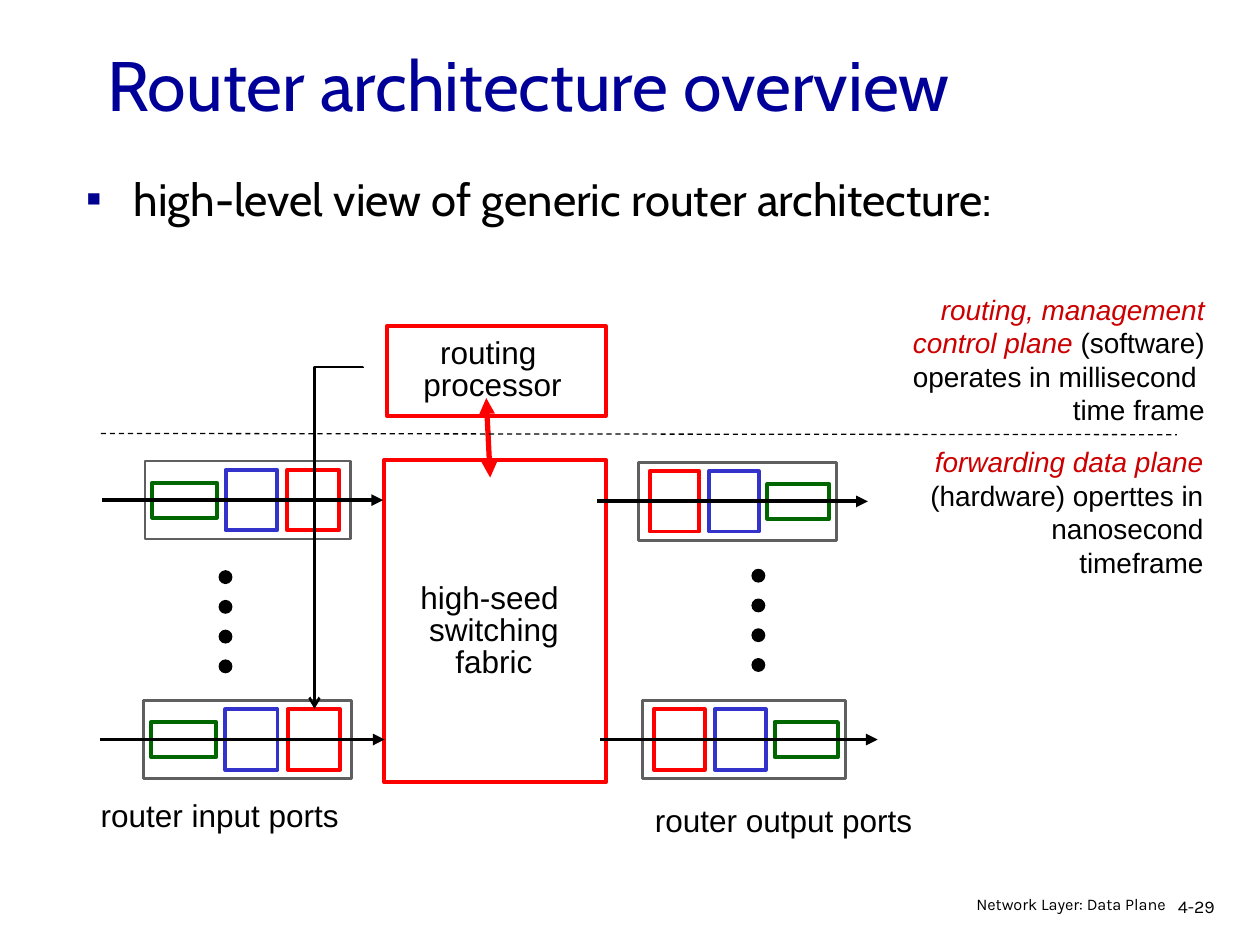
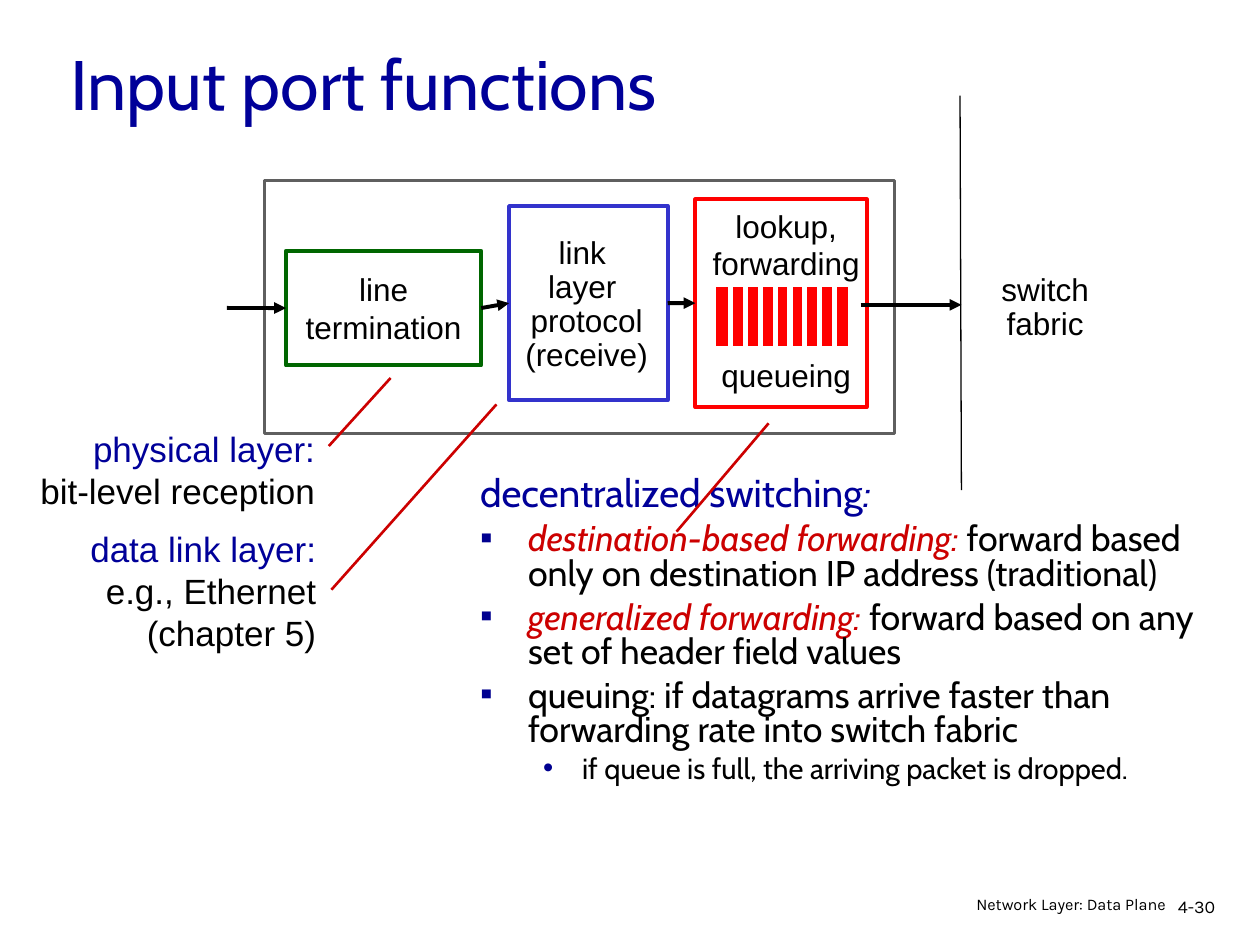
"""Build two slides on router architecture and input port functions."""
from dataclasses import dataclass
from typing import Any, NamedTuple, Optional

from lxml import etree
from pptx import Presentation
from pptx.dml.color import RGBColor
from pptx.enum.dml import MSO_LINE
from pptx.enum.shapes import MSO_CONNECTOR, MSO_SHAPE
from pptx.enum.text import MSO_ANCHOR, MSO_AUTO_SIZE, PP_ALIGN
from pptx.oxml.ns import qn
from pptx.util import Pt

RECT, OVAL = MSO_SHAPE.RECTANGLE, MSO_SHAPE.OVAL
STRAIGHT, ELBOW = MSO_CONNECTOR.STRAIGHT, MSO_CONNECTOR.ELBOW
LEFT, CENTER, RIGHT = PP_ALIGN.LEFT, PP_ALIGN.CENTER, PP_ALIGN.RIGHT
TOP, MIDDLE = MSO_ANCHOR.TOP, MSO_ANCHOR.MIDDLE
LEFT_SIDE, RIGHT_SIDE = 1, 3


@dataclass(frozen=True)
class Theme:
    """Colours, fonts and type sizes."""
    black: str = "000000"
    white: str = "FFFFFF"
    navy: str = "000099"
    bullet: str = "000090"
    crimson: str = "CC0000"
    red: str = "FF0000"
    green: str = "006600"
    blue: str = "3333CC"
    grey: str = "5F5F5F"
    heading_font: str = "Cabin"
    label_font: str = "Arial"
    footer_font: str = "Karla"
    title: float = 40
    lead: float = 25.9
    section: float = 22.2
    item: float = 20.4
    subitem: float = 16.6
    callout: float = 20
    label: float = 18
    plane: float = 16
    number: float = 10.2
    footer: float = 9.3


THEME = Theme()


class Box(NamedTuple):
    """Left, top, width and height in points."""
    left: float
    top: float
    width: float
    height: float


class Words(NamedTuple):
    """A run of text."""
    text: str
    ink: str = THEME.black
    italic: bool = False


class Para(NamedTuple):
    """A paragraph with its optional spacing, size and bullet."""
    runs: list[Words]
    before: float = 0
    size: Optional[float] = None
    bullet: Optional[str] = None
    level: int = 0


class Style(NamedTuple):
    """Formatting shared by the paragraphs of a box."""
    size: float
    font: str = THEME.label_font
    align: Any = LEFT
    spacing: float = 1.0
    anchor: Any = TOP
    wrap: bool = False


class Stage(NamedTuple):
    """A stage inside a router port, measured from the port's outer side."""
    offset: float
    width: float
    height: float
    ink: str


class Port(NamedTuple):
    """A router port; output ports mirror the input stages."""
    left: float
    top: float
    width: float
    output: bool = False


PORT_WIDTH, PORT_HEIGHT = 117.4, 44.6
ARROW_LEAD, ARROW_REACH = 24.5, 18.7
STAGES = [Stage(4.3, 36.7, 20, THEME.green),
          Stage(46.1, 29.5, 34.5, THEME.blue),
          Stage(81.4, 29.5, 34.5, THEME.red)]
PORTS = [Port(82.8, 263.5, 117.4), Port(82.1, 400.3, 118.8),
         Port(365, 264.2, 113, True), Port(367.2, 400.3, 115.9, True)]
DOT_COUNT, DOT_SIZE, DOT_STEP = 4, 7.2, 17
QUEUE_GAPS, QUEUE_STEP = 8, 8.45


def set_format(target: Any, values: dict[str, Any]) -> None:
    for key, value in values.items():
        setattr(target, key, value)


def color(code: str) -> RGBColor:
    return RGBColor.from_string(code)


def place(shape: Any, box: Box) -> None:
    set_format(shape, {side: Pt(value) for side, value in box._asdict().items()})


def lines(*texts: str) -> list[Para]:
    return [Para([Words(text)]) for text in texts]


def mark(paragraph: Any, para: Para) -> None:
    props = paragraph._p.get_or_add_pPr()
    margin, hang = (58.3, 22.3) if para.level else (27.4, 27.4)
    props.set("marL", str(Pt(margin)))
    props.set("indent", str(-Pt(hang)))
    if para.bullet:
        tint = etree.SubElement(props, qn("a:buClr"))
        etree.SubElement(tint, qn("a:srgbClr")).set("val", THEME.bullet)
        etree.SubElement(props, qn("a:buChar")).set("char", para.bullet)
    else:
        etree.SubElement(props, qn("a:buNone"))


def write(frame: Any, paras: list[Para], style: Style, listed: bool = False) -> None:
    set_format(frame, {"auto_size": MSO_AUTO_SIZE.NONE, "word_wrap": style.wrap,
                       "vertical_anchor": style.anchor})
    for index, para in enumerate(paras):
        paragraph = frame.add_paragraph() if index else frame.paragraphs[0]
        if listed:
            mark(paragraph, para)
        set_format(paragraph, {"level": para.level, "alignment": style.align,
                               "line_spacing": style.spacing,
                               "space_before": Pt(para.before), "space_after": Pt(0)})
        for words in para.runs:
            run = paragraph.add_run()
            run.text = words.text
            set_format(run.font, {"name": style.font, "size": Pt(para.size or style.size),
                                  "italic": words.italic})
            run.font.color.rgb = color(words.ink)


def label(shapes: Any, box: Box, paras: list[Para], style: Style) -> None:
    write(shapes.add_textbox(*map(Pt, box)).text_frame, paras, style)


def block(shapes: Any, box: Box, ink: str, weight: float = 2.25,
          fill: str = THEME.white, kind: Any = RECT) -> Any:
    shape = shapes.add_shape(kind, *map(Pt, box))
    shape.shadow.inherit = False
    shape.fill.solid()
    shape.fill.fore_color.rgb = color(fill)
    shape.line.color.rgb = color(ink)
    shape.line.width = Pt(weight)
    return shape


def link(shapes: Any, start: tuple[float, float], end: tuple[float, float],
         ink: str = THEME.black, weight: float = 2.25, head: str = "", tail: str = "",
         dash: Any = None, kind: Any = STRAIGHT) -> Any:
    connector = shapes.add_connector(kind, *map(Pt, start + end))
    connector.line.color.rgb = color(ink)
    set_format(connector.line, {"width": Pt(weight), "dash_style": dash})
    props = connector._element.spPr
    for tag, tip in (("a:headEnd", head), ("a:tailEnd", tail)):
        if tip:
            etree.SubElement(props.find(qn("a:ln")), qn(tag)).set("type", tip)
    etree.SubElement(props, qn("a:effectLst"))
    return connector


def start_slide(deck: Any, title: str, title_box: Box, body_box: Box,
                body: list[Para], body_style: Style, number: str) -> Any:
    slide = deck.slides.add_slide(deck.slide_layouts[1])
    heading, content = slide.placeholders
    place(heading, title_box)
    write(heading.text_frame, [Para([Words(title, THEME.navy)])],
          Style(THEME.title, THEME.heading_font, anchor=MIDDLE, wrap=True))
    place(content, body_box)
    write(content.text_frame, body, body_style, listed=True)
    label(slide.shapes, Box(666, 509.8, 43.9, 21.6), lines(number),
          Style(THEME.number, THEME.footer_font, spacing=0.9, wrap=True))
    label(slide.shapes, Box(501.8, 509.8, 171.4, 18.7), lines("Network Layer: Data Plane"),
          Style(THEME.footer, THEME.footer_font, RIGHT, 0.8, wrap=True))
    return slide.shapes


def draw_port(shapes: Any, port: Port) -> None:
    group = shapes.add_group_shape().shapes
    scale = port.width / PORT_WIDTH
    middle = port.top + PORT_HEIGHT / 2
    block(group, Box(port.left, port.top, port.width, PORT_HEIGHT), THEME.grey, 1.5)
    for stage in STAGES:
        offset, width = stage.offset * scale, stage.width * scale
        if port.output:
            offset = port.width - offset - width
        block(group, Box(port.left + offset, middle - stage.height / 2, width, stage.height),
              stage.ink)
    link(group, (port.left - ARROW_LEAD * scale, middle),
         (port.left + port.width + ARROW_REACH * scale, middle), tail="triangle")


def draw_dots(shapes: Any, left: float, top: float) -> None:
    group = shapes.add_group_shape().shapes
    for row in range(DOT_COUNT):
        block(group, Box(left, top + row * DOT_STEP, DOT_SIZE, DOT_SIZE),
              THEME.black, 0.75, THEME.black, OVAL)


def build_overview(deck: Any) -> None:
    lead = [Para([Words("high-level view of generic router architecture:")], bullet="▪")]
    shapes = start_slide(deck, "Router architecture overview", Box(54, 23.8, 612, 48.2),
                         Box(41.8, 101.5, 612, 46), lead,
                         Style(THEME.lead, THEME.heading_font, spacing=0.75, wrap=True), "4-29")
    centred = Style(THEME.label, align=CENTER, spacing=0.85)
    block(shapes, Box(219.6, 262.8, 126.7, 184.3), THEME.red)
    label(shapes, Box(233.3, 329.8, 97.9, 62.6),
          lines("high-seed ", "switching", "fabric"), centred)
    block(shapes, Box(221, 186.5, 125.3, 51.1), THEME.red)
    label(shapes, Box(234.7, 190.1, 93.6, 43.9), lines("routing ", "processor"), centred)
    link(shapes, (277.9, 227.5), (280.1, 272.9), THEME.red, 3, "triangle", "triangle")
    for port in PORTS:
        draw_port(shapes, port)
    for left, top in ((125.3, 326.2), (429.8, 325.4)):
        draw_dots(shapes, left, top)
    for box, text in ((Box(50.4, 451.4, 150.5, 28.8), "router input ports"),
                      (Box(367.2, 454.3, 161.3, 28.8), "router output ports")):
        label(shapes, box, lines(text), Style(THEME.label))
    link(shapes, (57.6, 247.7), (672.5, 248.4), weight=0.75, dash=MSO_LINE.DASH)
    plane = Style(THEME.plane, align=RIGHT, wrap=True)
    label(shapes, Box(522.7, 250.6, 172.1, 84.2),
          [Para([Words("forwarding data plane ", THEME.crimson, True),
                 Words("(hardware) operttes in nanosecond timeframe")])], plane)
    label(shapes, Box(468.7, 163.4, 226.8, 84.2),
          [Para([Words("routing, management", THEME.crimson, True)]),
           Para([Words("control plane ", THEME.crimson, True), Words("(software)")]),
           *lines("operates in millisecond ", "time frame")], plane)
    control = link(shapes, (95.8, 293.8), (290.9, 321.1), weight=1.5, tail="arrow", kind=ELBOW)
    props = control._element.spPr
    props.find(qn("a:xfrm")).set("rot", "5400000")
    bend = etree.SubElement(props.find(qn("a:prstGeom")).find(qn("a:avLst")), qn("a:gd"))
    bend.set("name", "adj1")
    bend.set("fmla", "val -100")


def draw_queue(shapes: Any) -> None:
    group = shapes.add_group_shape().shapes
    block(group, Box(407.5, 162.7, 78.5, 36.7), THEME.white, 3, THEME.red)
    for gap in range(QUEUE_GAPS):
        across = 417.6 + gap * QUEUE_STEP
        link(group, (across, 162.7), (across, 198.3), THEME.white, 3)


def build_input_port(deck: Any) -> None:
    def item(lead: str, rest: str) -> Para:
        runs = [Words(lead, THEME.crimson, True)] if lead else []
        return Para(runs + [Words(rest)], 5.5, THEME.item, "▪")

    body = [
        Para([Words("decentralized switching", THEME.navy), Words(":", THEME.navy, True)]),
        item("destination-based forwarding: ",
             "forward based only on destination IP address (traditional)"),
        item("generalized forwarding: ", "forward based on any set of header field values"),
        item("", "queuing: if datagrams arrive faster than forwarding rate into switch fabric"),
        Para([Words("if queue is full, the arriving packet is dropped.")],
             4.5, THEME.subitem, "•", 1)]
    shapes = start_slide(deck, "Input port functions", Box(33.1, 23, 612, 48.2),
                         Box(267.1, 269.3, 429.8, 231.1), body,
                         Style(THEME.section, THEME.heading_font, spacing=0.8, wrap=True), "4-30")
    block(shapes, Box(151.2, 103, 360, 144.7), THEME.grey, 1.5)
    termination = block(shapes, Box(163.4, 143.3, 111.6, 65.5), THEME.green)
    write(termination.text_frame, lines("line", "termination"),
          Style(THEME.label, align=CENTER, anchor=MIDDLE))
    protocol = block(shapes, Box(290.9, 117.8, 90.7, 110.9), THEME.blue)
    lookup = block(shapes, Box(397.4, 113.8, 97.9, 118.8), THEME.red)
    arrival = link(shapes, (129.6, 176), (163.4, 176), tail="triangle")
    arrival.end_connect(termination, LEFT_SIDE)
    for source, target in ((termination, protocol), (protocol, lookup)):
        step = link(shapes, (0, 0), (0, 0), tail="triangle")
        step.begin_connect(source, RIGHT_SIDE)
        step.end_connect(target, LEFT_SIDE)
    link(shapes, (491.8, 174.2), (549.4, 174.2), tail="triangle")
    centred = Style(THEME.label, align=CENTER, spacing=0.9, anchor=MIDDLE)
    label(shapes, Box(293.8, 141.8, 82.8, 65.5),
          lines("link ", "layer ", "protocol", "(receive)"), centred)
    label(shapes, Box(555.8, 143.3, 82.8, 65.5), lines("switch", "fabric"), centred)
    label(shapes, Box(400.3, 114.5, 97.9, 115.2),
          [*lines("lookup,", "forwarding"), Para([Words("queueing")], 42)],
          Style(THEME.label, align=CENTER))
    link(shapes, (548.6, 54.7), (549.4, 280.1), weight=0.75)
    draw_queue(shapes)
    for box, layer, details in (
            (Box(15.8, 240.5, 171.4, 55.4), "physical layer:", ["bit-level reception"]),
            (Box(44.6, 298.1, 143.3, 79.2), "data link layer:",
             ["e.g., Ethernet", "(chapter 5)"])):
        label(shapes, box, [Para([Words(layer, THEME.navy)]), *lines(*details)],
              Style(THEME.callout, align=RIGHT))
    for start, end in (((187.9, 254.9), (223.2, 216)), ((189.4, 337), (283.7, 231.1)),
                       ((386.6, 303.8), (439.2, 241.9))):
        link(shapes, start, end, THEME.crimson, 1.5)


def main() -> None:
    deck = Presentation()
    set_format(deck, {"slide_width": Pt(720), "slide_height": Pt(540)})
    build_overview(deck)
    build_input_port(deck)
    deck.save("out.pptx")


if __name__ == "__main__":
    main()
